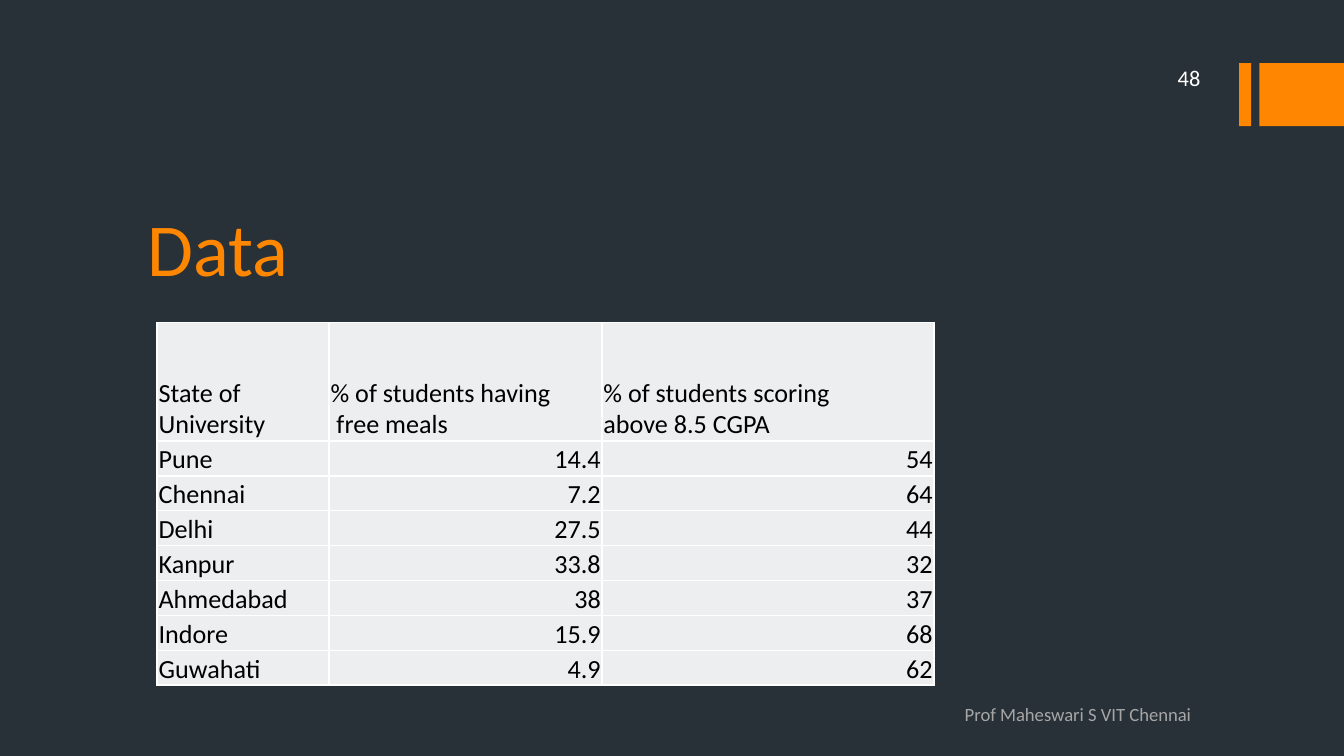
from lxml.etree import SubElement
from pptx import Presentation
from pptx.dml.color import RGBColor
from pptx.enum.shapes import MSO_SHAPE
from pptx.enum.text import MSO_ANCHOR as Anchor, PP_ALIGN as Align
from pptx.oxml.ns import qn
from pptx.util import Inches, Pt

TITLE = "Data"
FOOTER = "Prof Maheswari S VIT Chennai"
PAGE_NUMBER = "48"
HEADERS = (
    ("State of University",),
    ("% of students having", " free meals"),
    ("% of students scoring ", "above 8.5 CGPA"),
)
UNIVERSITIES = [
    ("Pune", 14.4, 54),
    ("Chennai", 7.2, 64),
    ("Delhi", 27.5, 44),
    ("Kanpur", 33.8, 32),
    ("Ahmedabad", 38, 37),
    ("Indore", 15.9, 68),
    ("Guwahati", 4.9, 62),
]

FONT = "Calibri"
DARK = RGBColor(0x28, 0x31, 0x38)
ORANGE = RGBColor(0xFF, 0x86, 0x00)
GREY = RGBColor(0xA6, 0xA6, 0xA6)
PALE = RGBColor(0xED, 0xEE, 0xEF)
WHITE = RGBColor(0xFF, 0xFF, 0xFF)
BLACK = RGBColor(0x00, 0x00, 0x00)

WIDTH = 10
HEIGHT = WIDTH * 9 / 16
TABLE_LEFT, TABLE_TOP = 1.17, 2.4
COLUMN_WIDTHS = (1.28, 2.03, 2.47)
HEADER_HEIGHT, ROW_HEIGHT = 0.88, 0.26
BAR_TOP, BAR_HEIGHT = 0.47, 0.47
BARS = ((9.22, 0.09), (9.37, 0.63))  # left, width


def style(paragraph, size, color, align=Align.LEFT):
    paragraph.alignment = align
    font = paragraph.font
    font.name, font.size, font.color.rgb = FONT, Pt(size), color


def add_label(text, box, size, color, anchor, align=Align.LEFT, top_inset=0.05):
    frame = slide.shapes.add_textbox(*map(Inches, box)).text_frame
    frame.word_wrap = True
    frame.vertical_anchor = anchor
    frame.margin_top = Inches(top_inset)
    frame.text = text
    style(frame.paragraphs[0], size, color, align)


def add_borders(cell):
    properties = cell._tc.get_or_add_tcPr()
    for side in ("a:lnL", "a:lnR", "a:lnT", "a:lnB"):
        line = SubElement(properties, qn(side), w=str(Pt(1)))
        fill = SubElement(line, qn("a:solidFill"))
        SubElement(fill, qn("a:srgbClr"), val=str(WHITE))


def fill_cell(cell, lines, align):
    cell.margin_left = cell.margin_right = cell.margin_top = Inches(0.01)
    cell.margin_bottom = 0
    cell.vertical_anchor = Anchor.BOTTOM
    add_borders(cell)
    cell.fill.solid()
    cell.fill.fore_color.rgb = PALE
    paragraph = cell.text_frame.paragraphs[0]
    for number, line in enumerate(lines):
        if number:
            paragraph.add_line_break()
        paragraph.add_run().text = line
    style(paragraph, 14, BLACK, align)


prs = Presentation()
prs.slide_width, prs.slide_height = Inches(WIDTH), Inches(HEIGHT)
slide = prs.slides.add_slide(prs.slide_layouts[6])
slide.background.fill.solid()
slide.background.fill.fore_color.rgb = DARK

for left, width in BARS:
    bar = slide.shapes.add_shape(
        MSO_SHAPE.RECTANGLE, *map(Inches, (left, BAR_TOP, width, BAR_HEIGHT)))
    bar.shadow.inherit = False
    bar.fill.solid()
    bar.fill.fore_color.rgb = ORANGE
    bar.line.fill.background()

add_label(TITLE, (1, 1.27, 8, 0.95), 40, ORANGE, Anchor.BOTTOM)
add_label(FOOTER, (7.08, 5.23, 2.46, 0.25), 10, GREY, Anchor.TOP, top_inset=0)
add_label(PAGE_NUMBER, (8, 0.45, 1.03, 0.25), 12, WHITE, Anchor.MIDDLE, Align.RIGHT)

table_height = HEADER_HEIGHT + ROW_HEIGHT * len(UNIVERSITIES)
table = slide.shapes.add_table(
    len(UNIVERSITIES) + 1, len(HEADERS),
    *map(Inches, (TABLE_LEFT, TABLE_TOP, sum(COLUMN_WIDTHS), table_height))).table
table.first_row = table.horz_banding = False
for column, width in zip(table.columns, COLUMN_WIDTHS):
    column.width = Inches(width)

table.rows[0].height = Inches(HEADER_HEIGHT)
for c, lines in enumerate(HEADERS):
    fill_cell(table.cell(0, c), lines, Align.LEFT)
for r, values in enumerate(UNIVERSITIES, start=1):
    table.rows[r].height = Inches(ROW_HEIGHT)
    for c, value in enumerate(values):
        fill_cell(table.cell(r, c), [str(value)], Align.RIGHT if c else Align.LEFT)

prs.save("out.pptx")
